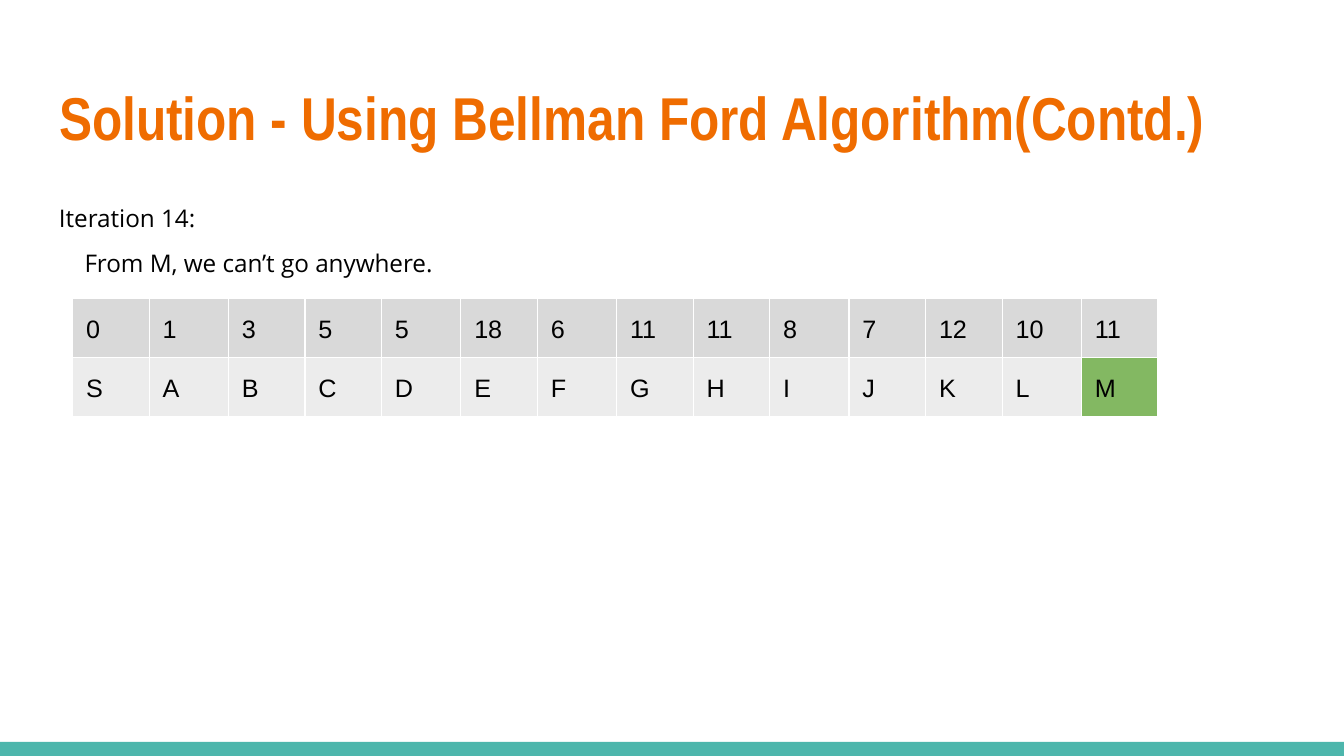
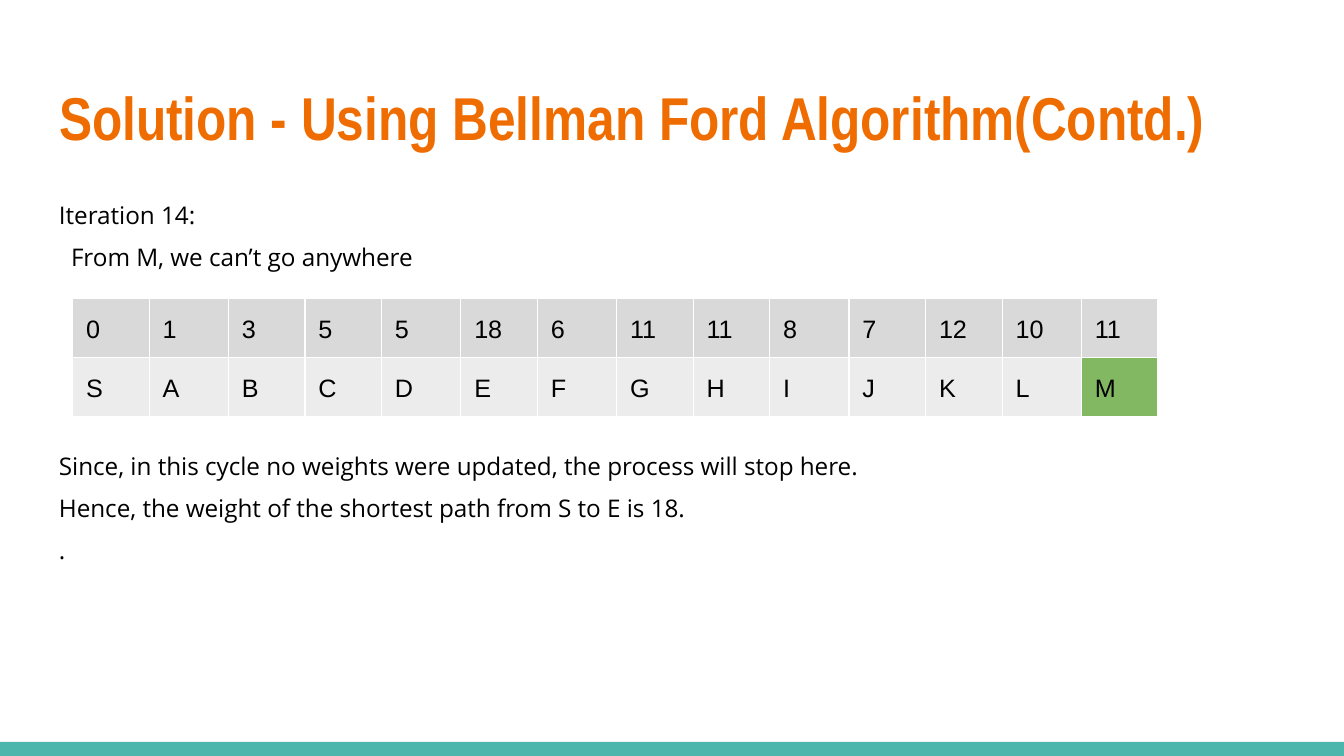
from dataclasses import dataclass

from lxml import etree
from pptx import Presentation
from pptx.dml.color import RGBColor
from pptx.enum.shapes import MSO_SHAPE
from pptx.enum.text import MSO_ANCHOR, MSO_AUTO_SIZE, PP_ALIGN
from pptx.oxml.ns import qn
from pptx.util import Inches, Pt

RECTANGLE = MSO_SHAPE.RECTANGLE
MIDDLE = MSO_ANCHOR.MIDDLE
TOP = MSO_ANCHOR.TOP
NO_AUTOFIT = MSO_AUTO_SIZE.NONE
LEFT = PP_ALIGN.LEFT
TITLE_ONLY = 5


@dataclass(frozen=True)
class Theme:
    """Colours, fonts and type sizes of the deck."""

    white: str = "FFFFFF"
    ink: str = "000000"
    title: str = "EF6C00"
    band: str = "4DB6AC"
    weight_row: str = "D9D9D9"
    vertex_row: str = "ECECEC"
    current: str = "83B862"
    title_font: str = "Arial Narrow"
    body_font: str = "Open Sans"
    table_font: str = "Arial"
    title_size: float = 32.4
    body_size: float = 13
    table_size: float = 13.5
    border_width: float = 0.75
    paragraph_gap: float = 6
    inset: float = 0.1


THEME = Theme()
SLIDE_WIDTH = Inches(10)
SLIDE_HEIGHT = SLIDE_WIDTH * 9 // 16
BAND_BOX = (0, 5.52, 10, 0.11)
TITLE_BOX = (0.34, 0.48, 9.32, 0.77)
BODY_BOX = (0.34, 1.38, 9.32, 3.61)
TABLE_ORIGIN = (0.54, 2.22)
ROW_HEIGHT = 0.24
NARROW, WIDE = 0.57, 0.59
WIDE_VERTICES = "ADFIL"

TITLE = "Solution - Using Bellman Ford Algorithm(Contd.)"
VERTICES = "SABCDEFGHIJKLM"
WEIGHTS = (0, 1, 3, 5, 5, 18, 6, 11, 11, 8, 7, 12, 10, 11)
CURRENT_VERTEX = "M"


@dataclass(frozen=True)
class Line:
    """One body paragraph with its indent in inches and space before in points."""

    text: str
    indent: float = 0
    before: float = THEME.paragraph_gap


ITERATION = Line("Iteration 14:", before=0)
PAGES = (
    (1.15, (ITERATION, Line("From M, we can’t go anywhere.", indent=0.19))),
    (1.05, (
        ITERATION,
        Line("From M, we can’t go anywhere", indent=0.09),
        Line("Since, in this cycle no weights were updated, "
             "the process will stop here.", before=95.6),
        Line("Hence, the weight of the shortest path from S to E is 18."),
        Line("."),
    )),
)


def style_font(font, name, size, color, bold=False):
    """Set the face, size, colour and weight of a font."""
    font.name = name
    font.size = Pt(size)
    font.bold = bold
    font.color.rgb = RGBColor.from_string(color)


def set_margins(holder):
    """Give a text frame or table cell the shared inset on all sides."""
    for side in ("left", "top", "right", "bottom"):
        setattr(holder, f"margin_{side}", Inches(THEME.inset))


def prepare_frame(frame, anchor):
    """Set wrapping, insets and anchor of a text frame."""
    frame.word_wrap = True
    frame.auto_size = NO_AUTOFIT
    frame.vertical_anchor = anchor
    set_margins(frame)


def add_layout_band(layout, page, box):
    """Draw the bottom band and hand it to the layout the slides share."""
    for holder in list(layout.placeholders):
        if holder.placeholder_format.idx != 0:
            layout.shapes.element.remove(holder.element)
    band = page.shapes.add_shape(RECTANGLE, *map(Inches, box))
    band.shadow.inherit = False
    band.fill.solid()
    band.fill.fore_color.rgb = RGBColor.from_string(THEME.band)
    band.line.fill.background()
    layout.shapes.element.append(band.element)


def add_title(page, box):
    """Place and format the title placeholder."""
    title = page.shapes.title
    title.left, title.top, title.width, title.height = map(Inches, box)
    prepare_frame(title.text_frame, MIDDLE)
    para = title.text_frame.paragraphs[0]
    para.text = TITLE
    para.alignment = LEFT
    style_font(para.font, THEME.title_font, THEME.title_size, THEME.title, True)


def add_body(page, box, lines, spacing):
    """Write the explanation lines in one text box."""
    frame = page.shapes.add_textbox(*map(Inches, box)).text_frame
    prepare_frame(frame, TOP)
    for index, line in enumerate(lines):
        para = frame.add_paragraph() if index else frame.paragraphs[0]
        para.text = line.text
        para.line_spacing = spacing
        para.space_before = Pt(line.before)
        style_font(para.font, THEME.body_font, THEME.body_size, THEME.ink)
        if line.indent:
            properties = para._p.get_or_add_pPr()
            properties.set("marL", str(Inches(line.indent)))
            properties.set("indent", "0")


def add_borders(cell):
    """Draw the thin white border on all four sides of a cell."""
    properties = cell._tc.get_or_add_tcPr()
    for tag in ("a:lnL", "a:lnR", "a:lnT", "a:lnB"):
        border = etree.SubElement(
            properties, qn(tag), w=str(Pt(THEME.border_width)))
        fill = etree.SubElement(border, qn("a:solidFill"))
        etree.SubElement(fill, qn("a:srgbClr"), val=THEME.white)


def fill_cell(cell, text, color):
    """Write and format one table cell."""
    set_margins(cell)
    add_borders(cell)
    cell.fill.solid()
    cell.fill.fore_color.rgb = RGBColor.from_string(color)
    para = cell.text_frame.paragraphs[0]
    para.text = text
    para.line_spacing = 1.15
    style_font(para.font, THEME.table_font, THEME.table_size, THEME.ink)


def add_weight_table(page, origin):
    """Show each vertex below its weight and mark the current vertex."""
    widths = [WIDE if vertex in WIDE_VERTICES else NARROW for vertex in VERTICES]
    frame = page.shapes.add_table(
        2, len(VERTICES), *map(Inches, (*origin, sum(widths), 2 * ROW_HEIGHT)))
    table = frame.table
    for row in table.rows:
        row.height = Inches(ROW_HEIGHT)
    for column, (vertex, weight) in enumerate(zip(VERTICES, WEIGHTS)):
        table.columns[column].width = Inches(widths[column])
        color = THEME.current if vertex == CURRENT_VERTEX else THEME.vertex_row
        fill_cell(table.cell(0, column), str(weight), THEME.weight_row)
        fill_cell(table.cell(1, column), vertex, color)


def add_iteration_page(page, lines, spacing):
    """Build one slide from its title, explanation and weights."""
    add_title(page, TITLE_BOX)
    add_body(page, BODY_BOX, lines, spacing)
    add_weight_table(page, TABLE_ORIGIN)


def main():
    """Build and save the deck."""
    deck = Presentation()
    deck.slide_width, deck.slide_height = SLIDE_WIDTH, SLIDE_HEIGHT
    layout = deck.slide_layouts[TITLE_ONLY]
    for number, (spacing, lines) in enumerate(PAGES):
        page = deck.slides.add_slide(layout)
        if number == 0:
            add_layout_band(layout, page, BAND_BOX)
        add_iteration_page(page, lines, spacing)
    deck.save("out.pptx")


if __name__ == "__main__":
    main()
